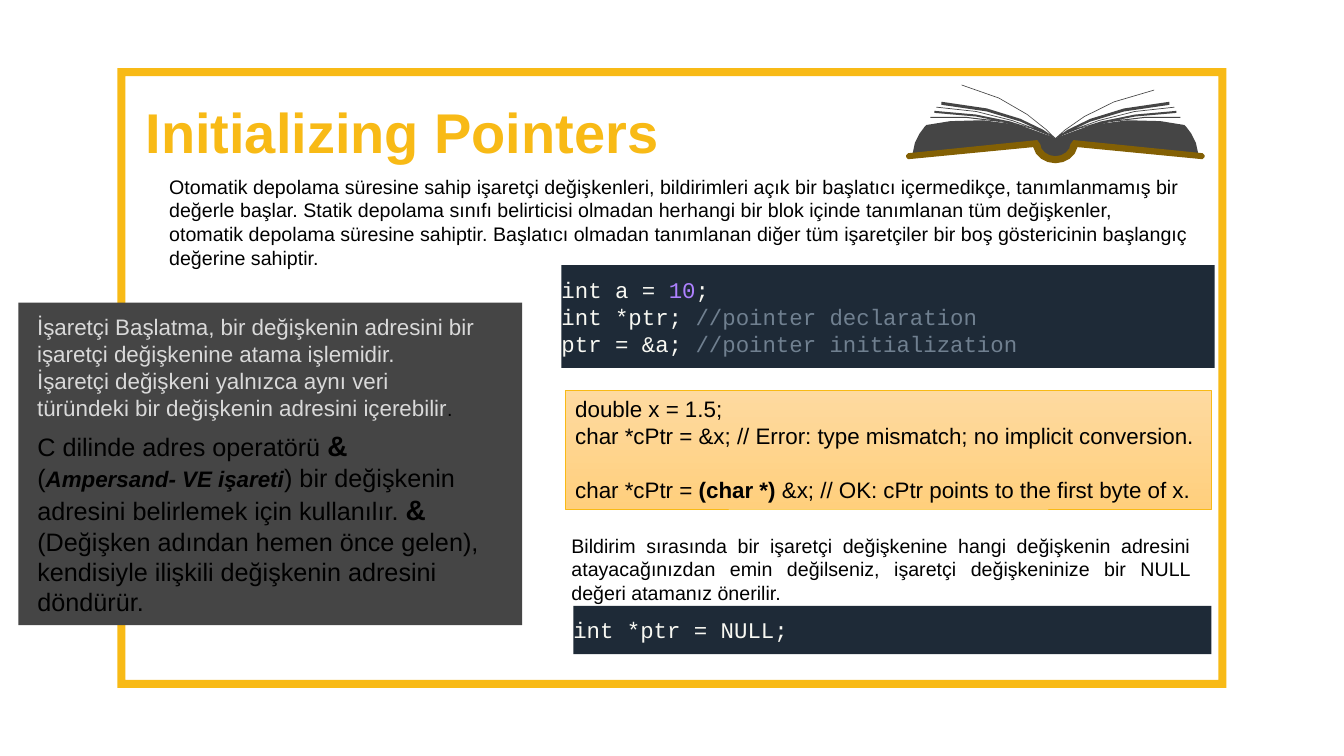
from pptx import Presentation, util as u
from pptx.dml.color import RGBColor
from pptx.enum import shapes, text

GOLD = RGBColor(0xF8, 0xBA, 0x16)
BROWN = RGBColor(0x83, 0x60, 0x04)
GREY = RGBColor(0x45, 0x45, 0x45)
PALE = RGBColor(0xD9, 0xD9, 0xD9)
NAVY = RGBColor(0x1E, 0x2A, 0x37)
CREAM = RGBColor(0xF8, 0xF8, 0xF2)
LILAC = RGBColor(0xAE, 0x81, 0xFF)
SLATE = RGBColor(0x70, 0x80, 0x90)
PEACH = RGBColor(0xFE, 0xDA, 0xA0)
AMBER = RGBColor(0xFF, 0xCF, 0x7D)
BLACK = RGBColor(0, 0, 0)
WHITE = RGBColor(0xFF, 0xFF, 0xFF)

WIDE, HIGH = u.Inches(40 / 3), u.Inches(7.5)
LEFT, JUST = text.PP_ALIGN.LEFT, text.PP_ALIGN.JUSTIFY

INTRO = (
    "Otomatik depolama süresine sahip işaretçi değişkenleri, bildirimleri açık bir "
    "başlatıcı içermedikçe, tanımlanmamış bir değerle başlar. Statik depolama sınıfı "
    "belirticisi olmadan herhangi bir blok içinde tanımlanan tüm değişkenler, otomatik "
    "depolama süresine sahiptir. Başlatıcı olmadan tanımlanan diğer tüm işaretçiler bir "
    "boş göstericinin başlangıç değerine sahiptir.")
ADVICE = (
    "Bildirim sırasında bir işaretçi değişkenine hangi değişkenin adresini "
    "atayacağınızdan emin değilseniz, işaretçi değişkeninize bir NULL değeri "
    "atamanız önerilir.")
AMP = ("&", {"size": 20, "bold": True})
NOTE = [
    ["İşaretçi Başlatma, bir değişkenin adresini bir"],
    ["işaretçi değişkenine atama işlemidir."],
    ["İşaretçi değişkeni yalnızca aynı veri"],
    ["türündeki bir değişkenin adresini içerebilir", (".", {"size": 14, "color": BLACK})],
]
ADDRESS = [
    ["C dilinde adres operatörü ", AMP],
    ["(", ("Ampersand- VE işareti", {"size": 16, "bold": True, "italic": True}),
     ") bir değişkenin adresini belirlemek için kullanılır. ", AMP,
     " (Değişken adından hemen önce gelen), kendisiyle ilişkili değişkenin "
     "adresini döndürür."],
]
CODE = [
    ["int a = ", ("10", {"color": LILAC}), ";"],
    ["int *ptr; ", ("//pointer declaration", {"color": SLATE})],
    ["ptr = &a; ", ("//pointer initialization", {"color": SLATE})],
]
CAST = [
    ["double x = 1.5;"],
    ["char *cPtr = &x; // Error: type mismatch; no implicit conversion."],
    ["char *cPtr = ", ("(char *) ", {"bold": True}),
     "&x; // OK: cPtr points to the first byte of x."],
]

# Book halves, in hundredths of an inch from the fold; six numbers make a curve
PAGES = [(0, 54), (45, 30, 104, 35, 128, 41), (128, 41, 141, 53, 142, 71),
         (19, 58), (19, 66, 11, 74, 0, 74)]
COVER = [(0, 72), (8, 72, 15, 66, 15, 60), (18, 56), (146, 69),
         (148, 71), (148, 73), (146, 75), (22, 63), (20, 72, 11, 79, 0, 79)]
# Loose leaves: two control points, tip, thickness
LEAVES = [(10, 46, 45, 23, 113, 18, 3), (10, 47, 65, 24, 118, 23, 0.7),
          (20, 44, 60, 29, 120, 27, 2), (28, 40, 75, 30, 124, 33, 1)]
TOPS = {1: (6, 48, 38, 18, 98, 6, 0.7), -1: (6, 48, 38, 14, 93, 1, 0.7)}


def area(x, y, w, h):
    """Turn percentages of the slide into lengths."""
    return [round(part * side / 100)
            for part, side in zip((x, y, w, h), (WIDE, HIGH) * 2)]


def style(font, size=None, bold=None, italic=None, color=None, name=None):
    if size:
        font.size = u.Pt(size)
    if color is not None:
        font.color.rgb = color
    if name:
        font.name = name
    if bold is not None:
        font.bold = bold
    if italic is not None:
        font.italic = italic


def write(frame, rows, size, color, name="Arial", align=LEFT, bold=False):
    """Fill a frame with paragraphs of plain or styled runs."""
    for i, row in enumerate(rows):
        para = frame.add_paragraph() if i else frame.paragraphs[0]
        para.alignment = align
        style(para.font, size, bold, color=color, name=name)
        for piece in row:
            words, look = (piece, {}) if isinstance(piece, str) else piece
            run = para.add_run()
            run.text = words
            style(run.font, **look)


def paint(shape, fill):
    shape.shadow.inherit = False
    shape.fill.solid()
    shape.fill.fore_color.rgb = fill
    shape.line.fill.background()


def block(slide, spot, fill, kind=shapes.MSO_SHAPE.RECTANGLE):
    shape = slide.shapes.add_shape(kind, *area(*spot))
    paint(shape, fill)
    shape.text_frame.word_wrap = True
    return shape


def label(slide, spot, rows, size, color=BLACK, wrap=True, align=LEFT):
    frame = slide.shapes.add_textbox(*area(*spot)).text_frame
    frame.word_wrap = wrap
    write(frame, rows, size, color, align=align)


def code(slide, spot, rows):
    frame = block(slide, spot, NAVY).text_frame
    frame.margin_left = frame.margin_right = 0
    frame.margin_top = frame.margin_bottom = u.Inches(0.1)
    frame.vertical_anchor = text.MSO_ANCHOR.MIDDLE
    write(frame, rows, 16, CREAM, "Courier New")


def trace(steps, count=4):
    """Follow lines and cubic curves as a list of points."""
    dots = [steps[0]]
    for step in steps[1:]:
        if len(step) == 2:
            dots.append(step)
            continue
        hull = [dots[-1], step[:2], step[2:4], step[4:]]
        for i in range(1, count + 1):
            t = i / count
            parts = ((1 - t) ** 3, 3 * t * (1 - t) ** 2, 3 * t * t * (1 - t), t ** 3)
            dots.append(tuple(sum(k * p[axis] for k, p in zip(parts, hull))
                              for axis in (0, 1)))
    return dots


def flip(dots):
    return [(-x, y) for x, y in reversed(dots)]


def leaf(ax, ay, bx, by, x, y, thick):
    return trace([(0, 54), (ax, ay, bx, by, x, y), (x, y + thick),
                  (bx, by + thick, ax, ay + thick, 0, 55)])


def book(slide):
    group = slide.shapes.add_group_shape()
    left, top, cell, _ = area(78.53, 11.07, 0.075, 0)

    def draw(loops, fill):
        """Draw closed loops as one shape."""
        pen = None
        for dots in loops:
            first, *rest = [(left + x * cell, top + y * cell) for x, y in dots]
            if pen:
                pen.move_to(*first)
            else:
                pen = group.shapes.build_freeform(*first, scale=1.0)
            pen.add_line_segments(rest, close=True)
        paint(pen.convert_to_shape(), fill)

    for half, fill in ((PAGES, GREY), (COVER, BROWN)):
        dots = trace(half)
        draw([dots + flip(dots)], fill)
    for side, first in TOPS.items():
        loops = [leaf(*curve) for curve in [first] + LEAVES]
        draw(loops if side > 0 else [flip(dots) for dots in loops], GREY)


def head(slide, spot, words):
    title = slide.shapes.title
    title.left, title.top, title.width, title.height = area(*spot)
    title.fill.solid()
    title.fill.fore_color.rgb = WHITE
    title.text_frame.vertical_anchor = text.MSO_ANCHOR.MIDDLE
    write(title.text_frame, [[words]], 40, GOLD, bold=True)


def cast(slide, spot):
    """Gradient box with the type cast example."""
    box = block(slide, spot, PEACH)
    box.fill.gradient()
    box.fill.gradient_angle = 270
    for place, (stop, color) in enumerate(zip(box.fill.gradient_stops, (PEACH, AMBER))):
        stop.color.rgb = color
        stop.position = place
    box.line.color.rgb = GOLD
    box.line.width = u.Pt(0.5)
    frame = box.text_frame
    frame.vertical_anchor = text.MSO_ANCHOR.TOP
    write(frame, CAST, 16, BLACK)
    frame.paragraphs[-1].space_before = u.Pt(19.5)


def main():
    deck = Presentation()
    deck.slide_width, deck.slide_height = WIDE, HIGH
    slide = deck.slides.add_slide(deck.slide_layouts[5])

    # Border, title and book
    border = block(slide, (8.73, 9, 82.53, 82), GOLD, shapes.MSO_SHAPE.FRAME)
    border.adjustments[0] = 0.013
    head(slide, (10.09, 12.2, 42.67, 10.27), "Initializing Pointers")
    book(slide)

    # Left panel
    block(slide, (1.36, 40.03, 37.5, 42.67), GREY)
    label(slide, (2.03, 40.8, 34.43, 15.73), NOTE, 16, PALE, wrap=False, align=JUST)
    label(slide, (2.04, 56.07, 36.08, 26.53), ADDRESS, 18)

    # Introduction, examples and advice
    label(slide, (11.85, 22.48, 77.5, 13.87), [[INTRO]], 14)
    label(slide, (41.78, 69.93, 47.56, 10.8), [[ADVICE]], 14, align=JUST)
    cast(slide, (42.06, 51.6, 48.08, 15.73))
    code(slide, (41.78, 35.07, 48.6, 13.6), CODE)
    code(slide, (42.66, 80.13, 47.48, 6.4), [["int *ptr = NULL;"]])
    deck.save("out.pptx")


if __name__ == "__main__":
    main()
